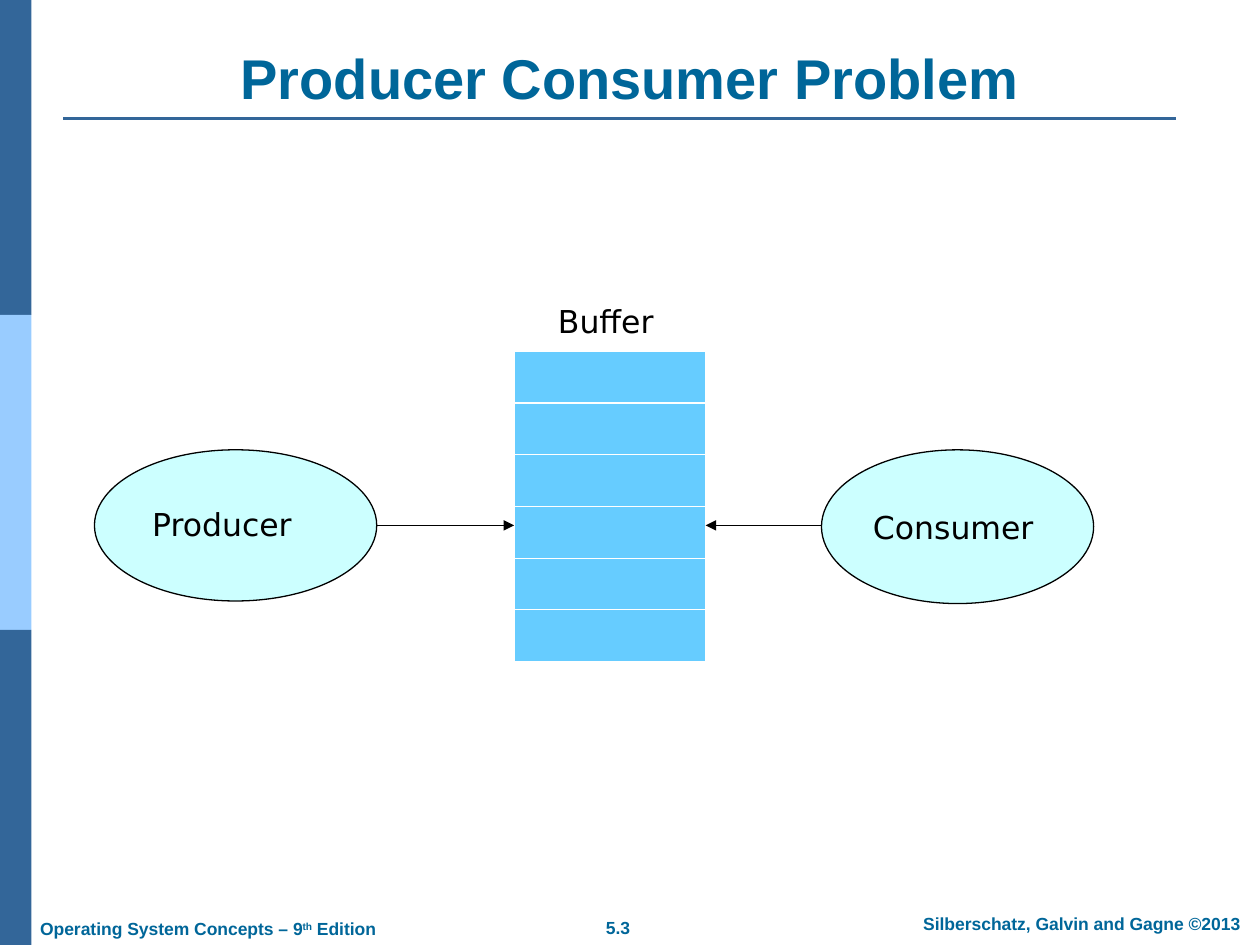
from pptx import Presentation
from pptx.dml.color import RGBColor as Color
from pptx.enum.shapes import MSO_CONNECTOR as Connector, MSO_SHAPE as Preset
from pptx.enum.text import MSO_ANCHOR as Anchor, MSO_AUTO_SIZE as AutoSize, PP_ALIGN as Align
from pptx.oxml import parse_xml
from pptx.oxml.ns import nsdecls
from pptx.util import Inches, Pt

COLORS = {
    "band": "336699",
    "light_band": "99CCFF",
    "heading": "006699",
    "cell": "66CCFF",
    "oval": "CCFFFF",
    "ink": "000000",
    "white": "FFFFFF",
}
WIDTH, HEIGHT = 10, 7.5
BAND_HEIGHT = HEIGHT / 3
BUFFER_LEFT, BUFFER_TOP, BUFFER_WIDTH = 4.08, 2.79, 1.52
ROWS, ROW_HEIGHT = 6, 0.41
ARROW_Y = 4.17
FOOTER = {"name": "Arial", "size": Pt(10), "bold": True}
TITLE = {**FOOTER, "size": Pt(32)}
LABEL = {"name": "DejaVu Sans", "size": Pt(18), "bold": False}


def color(name):
    return Color.from_string(COLORS[name])


def inches(*lengths):
    return [Inches(length) for length in lengths]


def format_run(run, values, color_name):
    for name, value in values.items():
        setattr(run.font, name, value)
    run.font.color.rgb = color(color_name)


def add_shape(shapes, preset, box, fill, line=None):
    shape = shapes.add_shape(preset, *inches(*box))
    shape.shadow.inherit = False
    shape.fill.solid()
    shape.fill.fore_color.rgb = color(fill)
    if line:
        shape.line.color.rgb = color(line)
        shape.line.width = Pt(0.75)
    else:
        shape.line.fill.background()


def add_text(shapes, box, parts, values, color_name, align=Align.LEFT, wrap=True):
    frame = shapes.add_textbox(*inches(*box)).text_frame
    frame.word_wrap = wrap
    frame.auto_size = AutoSize.SHAPE_TO_FIT_TEXT
    paragraph = frame.paragraphs[0]
    paragraph.alignment = align
    for text in parts:
        run = paragraph.add_run()
        run.text = text
        format_run(run, values, color_name)
    return paragraph


def add_line(shapes, start, end, color_name, width, arrow=False):
    line = shapes.add_connector(Connector.STRAIGHT, *inches(*start, *end))
    line.line.color.rgb = color(color_name)
    line.line.width = Pt(width)
    if arrow:
        line.line._get_or_add_ln().append(
            parse_xml(f'<a:tailEnd {nsdecls("a")} type="triangle"/>'))
    line._element.spPr.append(parse_xml(f'<a:effectLst {nsdecls("a")}/>'))


def set_borders(cell, widths):
    properties = cell._tc.get_or_add_tcPr()
    for index, (side, width) in enumerate(widths.items()):
        properties.insert(index, parse_xml(
            f'<a:ln{side} {nsdecls("a")} w="{Pt(width)}"><a:solidFill>'
            f'<a:srgbClr val="{COLORS["white"]}"/></a:solidFill></a:ln{side}>'))


def add_buffer(shapes):
    table = shapes.add_table(ROWS, 1, *inches(
        BUFFER_LEFT, BUFFER_TOP, BUFFER_WIDTH, ROWS * ROW_HEIGHT)).table
    table.first_row = table.horz_banding = False
    thin, thick = 0.45, 1.47
    for index, row in enumerate(table.rows):
        row.height = Inches(ROW_HEIGHT)
        cell = row.cells[0]
        cell.fill.solid()
        cell.fill.fore_color.rgb = color("cell")
        set_borders(cell, {
            "L": thin,
            "R": thin,
            "T": thick if index == 1 else thin,
            "B": thick if index == 0 else thin,
        })


def add_process(shapes, name, oval_box, label_box):
    group = shapes.add_group_shape()
    add_shape(group.shapes, Preset.OVAL, oval_box, "oval", "ink")
    add_text(group.shapes, label_box, [name], LABEL, "ink")


def add_frame(shapes):
    for index, name in enumerate(["band", "light_band", "band"]):
        box = (0, index * BAND_HEIGHT, WIDTH / 40, BAND_HEIGHT)
        add_shape(shapes, Preset.RECTANGLE, box, name)
    add_line(shapes, (0.5, 0.94), (9.33, 0.94), "band", 1.5)
    add_text(shapes, (4.41, 7.23, 0.99, 0.27), ["5.3"], FOOTER, "heading",
             Align.CENTER, wrap=False)
    add_text(shapes, (7.1, 7.2, 2.97, 0.27), ["Silberschatz, Galvin and Gagne ©2013"],
             FOOTER, "heading", Align.CENTER)
    edition = add_text(shapes, (0.22, 7.24, 2.87, 0.27),
                       ["Operating System Concepts – 9", "th", " Edition"],
                       FOOTER, "heading", wrap=False)
    edition.runs[1]._r.get_or_add_rPr().set("baseline", "30000")


def set_title(title, text):
    title.left, title.top, title.width, title.height = inches(0.5, 0.3, 9, 0.63)
    frame = title.text_frame
    frame.text = text
    frame.vertical_anchor = Anchor.BOTTOM
    frame.auto_size = AutoSize.NONE
    paragraph = frame.paragraphs[0]
    paragraph.alignment = Align.CENTER
    format_run(paragraph.runs[0], TITLE, "heading")


def main():
    presentation = Presentation()
    presentation.slide_width, presentation.slide_height = inches(WIDTH, HEIGHT)
    slide = presentation.slides.add_slide(presentation.slide_layouts[5])
    shapes = slide.shapes
    add_frame(shapes)
    set_title(shapes.title, "Producer Consumer Problem")
    add_buffer(shapes)
    add_process(shapes, "Producer", (0.75, 3.57, 2.24, 1.2), (1.11, 3.96, 1.59, 0.4))
    add_process(shapes, "Consumer", (6.52, 3.57, 2.16, 1.22), (6.83, 3.98, 1.6, 0.4))
    for start, end in [(2.99, BUFFER_LEFT), (6.52, BUFFER_LEFT + BUFFER_WIDTH)]:
        add_line(shapes, (start, ARROW_Y), (end, ARROW_Y), "ink", 0.75, arrow=True)
    add_text(shapes, (4.33, 2.35, 1.03, 0.4), ["Buffer"], LABEL, "ink")
    presentation.save("out.pptx")


if __name__ == "__main__":
    main()
